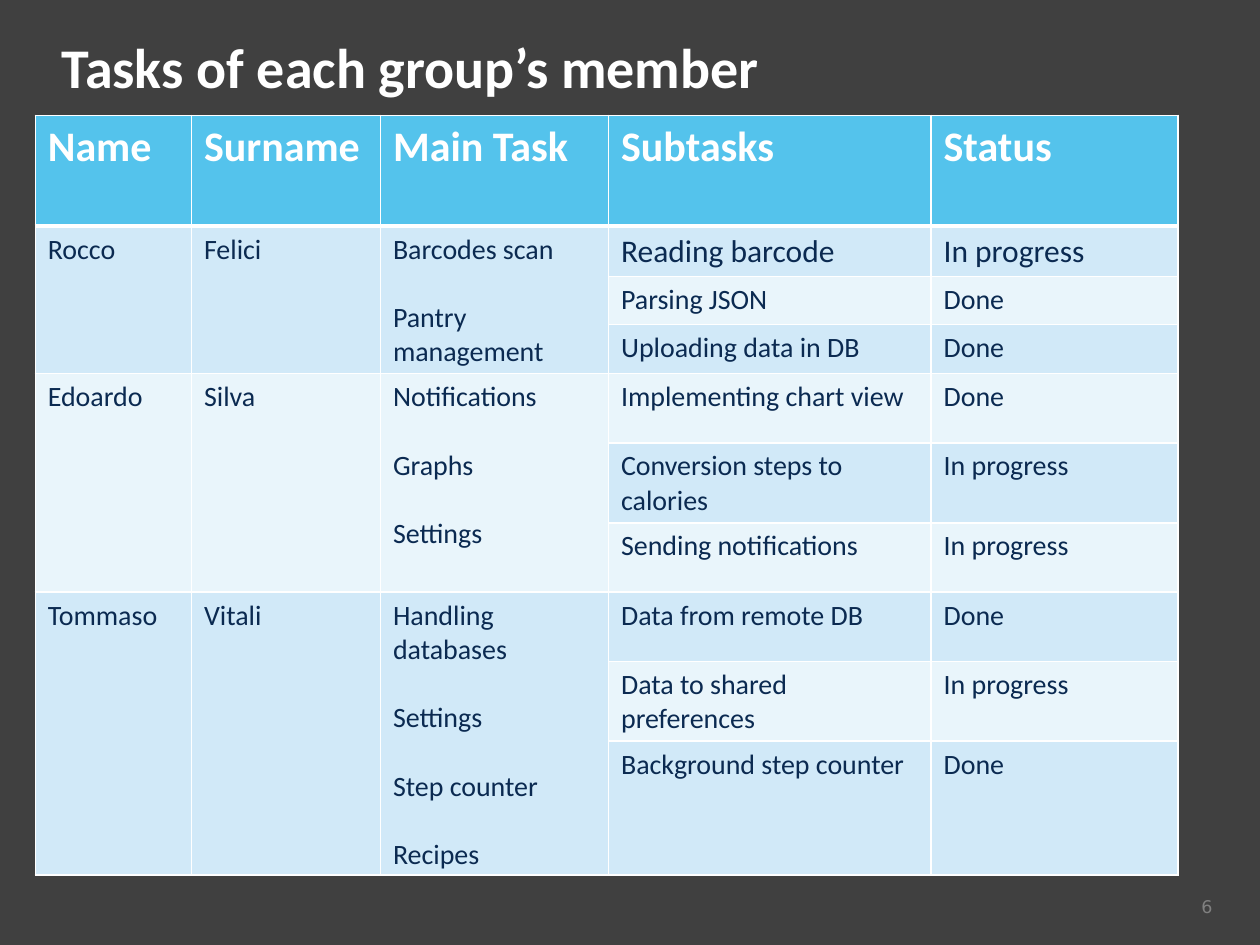
from lxml import etree
from pptx import Presentation
from pptx import util as u
from pptx.dml.color import RGBColor
from pptx.enum import text
from pptx.oxml.ns import qn

COLORS = {
    "page": "404040", "white": "FFFFFF", "number": "808080", "ink": "0B2A51",
    "header": "54C3EC", "band_dark": "D1E9F8", "band_light": "E9F5FB",
}
HEADINGS = ["Name", "Surname", "Main Task", "Subtasks", "Status"]
MEMBERS = [
    ("Rocco", "Felici", ["Barcodes scan", "Pantry management"],
     [("Reading barcode", "In progress"), ("Parsing JSON", "Done"),
      ("Uploading data in DB", "Done")]),
    ("Edoardo", "Silva", ["Notifications", "Graphs", "Settings"],
     [("Implementing chart view", "Done"),
      ("Conversion steps to calories", "In progress"),
      ("Sending notifications", "In progress")]),
    ("Tommaso", "Vitali",
     ["Handling databases", "Settings", "Step counter", "Recipes"],
     [("Data from remote DB", "Done"),
      ("Data to shared preferences", "In progress"),
      ("Background step counter", "Done")]),
]
COLUMN_WIDTHS = [1.24, 1.5, 1.81, 2.56, 1.96]
ROW_HEIGHTS = [0.88] + [0.38] * 3 + [0.55] * 6
TASK_GAP = 19.5


class SlideBuilder:
    def __init__(self, deck):
        self.deck = deck
        self.page = deck.slides.add_slide(deck.slide_layouts[6])
        fill = self.page.background.fill
        fill.solid()
        fill.fore_color.rgb = self.color("page")

    def color(self, name):
        return RGBColor.from_string(COLORS[name])

    def place(self, left, top, width, height):
        """Turn shares of the slide's size into lengths."""
        across, down = self.deck.slide_width, self.deck.slide_height
        return [u.Emu(round(share * side)) for share, side in
                zip((left, top, width, height), (across, down) * 2)]

    def add_lines(self, frame, lines, size, color, bold=False, font="Calibri",
                  align=text.PP_ALIGN.LEFT, gap=0):
        frame.word_wrap = True
        for index, line in enumerate(lines):
            para = frame.add_paragraph() if index else frame.paragraphs[0]
            para.alignment = align
            if index and gap:
                para.space_before = u.Pt(gap)
            span = para.add_run()
            span.text = line
            span.font.name = font
            span.font.size = u.Pt(size)
            span.font.bold = bold
            span.font.color.rgb = self.color(color)

    def text_box(self, share, line, size, color, **style):
        box = self.page.shapes.add_textbox(*self.place(*share))
        box.text_frame.vertical_anchor = text.MSO_ANCHOR.MIDDLE
        self.add_lines(box.text_frame, [line], size, color, **style)

    def table(self, share, widths, heights):
        place = self.place(*share)
        frame = self.page.shapes.add_table(len(heights), len(widths), *place)
        for column, width in zip(frame.table.columns, widths):
            column.width = u.Inches(width)
        for row, height in zip(frame.table.rows, heights):
            row.height = u.Inches(height)
        frame.height = place[3]
        return frame.table

    def paint_cell(self, cell, fill, top=1, bottom=1):
        cell.fill.solid()
        cell.fill.fore_color.rgb = self.color(fill)
        properties = cell._tc.get_or_add_tcPr()
        sides = {"L": 1, "R": 1, "T": top, "B": bottom}
        for index, (side, points) in enumerate(sides.items()):
            line = etree.Element(qn(f"a:ln{side}"), w=str(u.Pt(points)))
            solid = etree.SubElement(line, qn("a:solidFill"))
            etree.SubElement(solid, qn("a:srgbClr"), val=COLORS["white"])
            properties.insert(index, line)


def fill_tasks(slide, grid):
    for row in range(len(ROW_HEIGHTS)):
        band = "band_dark" if row % 2 else "band_light"
        for column in range(len(COLUMN_WIDTHS)):
            slide.paint_cell(grid.cell(row, column), band if row else "header",
                             top=3 if row == 1 else 1,
                             bottom=1 if row else 3)
    for column, heading in enumerate(HEADINGS):
        slide.add_lines(grid.cell(0, column).text_frame, [heading], 24, "white",
                        bold=True)

    first = 1
    for name, surname, tasks, subtasks in MEMBERS:
        last = first + len(subtasks) - 1
        for column, lines in enumerate(([name], [surname], tasks)):
            cell = grid.cell(first, column)
            cell.merge(grid.cell(last, column))
            slide.add_lines(cell.text_frame, lines, 16, "ink", gap=TASK_GAP)
        for row, subtask in enumerate(subtasks, first):
            size = 18 if row == 1 else 16
            for column, line in enumerate(subtask, 3):
                slide.add_lines(grid.cell(row, column).text_frame, [line], size, "ink")
        first = last + 1


def main():
    deck = Presentation()
    deck.slide_width, deck.slide_height = u.Inches(10), u.Inches(7.5)
    slide = SlideBuilder(deck)
    slide.text_box((0.783, 0.941, 0.189, 0.036), "6", 10, "number",
                   font="DejaVu Sans", align=text.PP_ALIGN.RIGHT)
    slide.text_box((0.039, 0.017, 0.933, 0.105),
                   "Tasks of each group’s member", 32, "white", bold=True)
    grid = slide.table((0.028, 0.122, 0.907, 0.803), COLUMN_WIDTHS, ROW_HEIGHTS)
    fill_tasks(slide, grid)
    deck.save("out.pptx")


if __name__ == "__main__":
    main()
